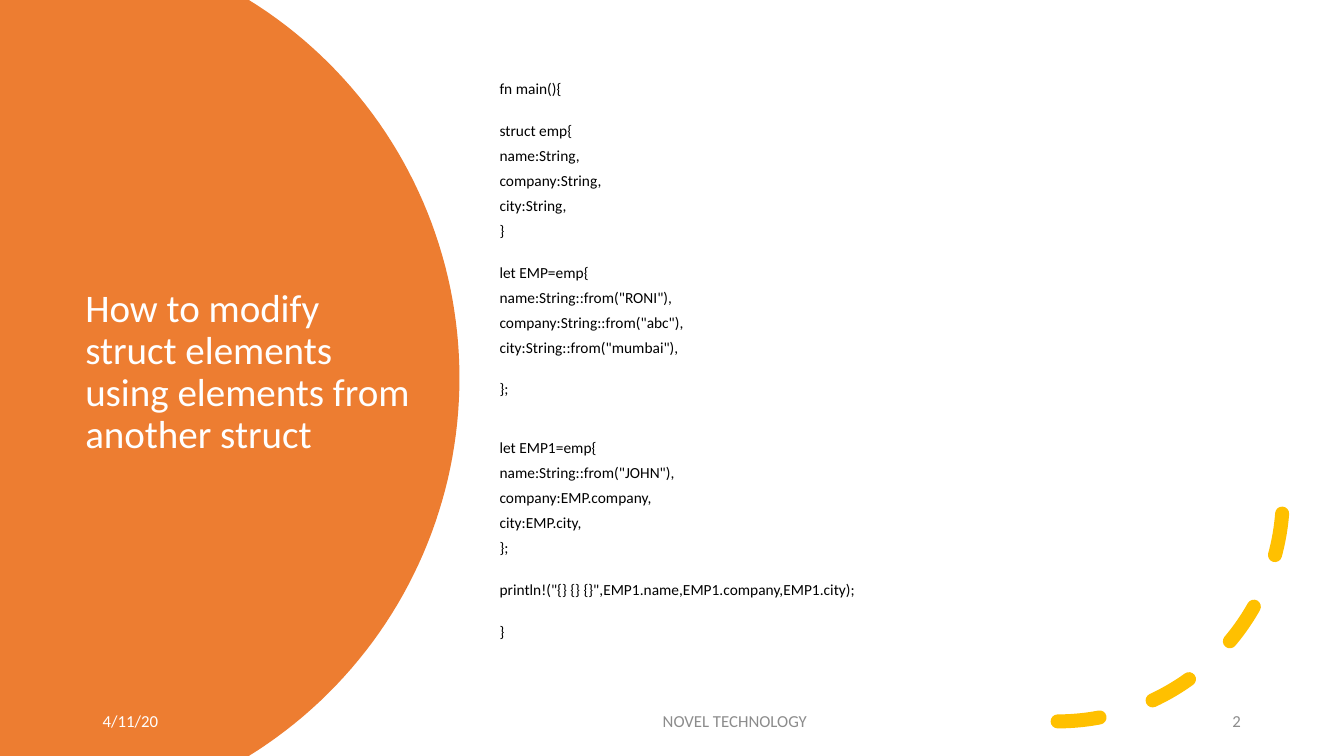
from math import asin, cos, sin
from pptx import Presentation
from pptx.dml.color import RGBColor
from pptx.enum.dml import MSO_LINE
from pptx.enum.shapes import MSO_SHAPE
from pptx.enum.text import MSO_ANCHOR, PP_ALIGN
from pptx.oxml.ns import qn
from pptx.util import Cm, Pt

COLORS = {"orange": "ED7D31", "gold": "FFC000", "white": "FFFFFF",
          "black": "000000", "gray": "8C8C8C"}


def tint(name):
    return RGBColor.from_string(COLORS[name])


def add_text(lines, box, size=12, color="gray", align=PP_ALIGN.LEFT,
             space=1.0, after=0, foot=0.13):
    frame = slide.shapes.add_textbox(*[Cm(n) for n in box]).text_frame
    frame.word_wrap = True
    frame.vertical_anchor = MSO_ANCHOR.MIDDLE
    frame.margin_bottom = Cm(foot)
    for i, (line, gap) in enumerate(lines):
        para = frame.paragraphs[0] if i == 0 else frame.add_paragraph()
        para.alignment = align
        para.line_spacing = space
        para.space_before = Pt(gap)
        para.space_after = Pt(after)
        run = para.add_run()
        run.text = line
        run.font.name = "Calibri"
        run.font.size = Pt(size)
        run.font.color.rgb = tint(color)


deck = Presentation()
deck.slide_width = Cm(33.87)
deck.slide_height = Cm(19.05)
slide = deck.slides.add_slide(deck.slide_layouts[6])

radius, mid_x, mid_y = 11.2, 0.38, 9.525
steps = 80
limit = asin(mid_y / radius)
edge = []
for i in range(steps + 1):
    angle = limit * (2 * i / steps - 1)
    edge.append((Cm(mid_x + radius * cos(angle)), Cm(mid_y + radius * sin(angle))))
maker = slide.shapes.build_freeform(0, 0)
maker.add_line_segments(edge + [(0, Cm(19.05))], close=True)
disc = maker.convert_to_shape()
disc.shadow.inherit = False
disc.fill.solid()
disc.fill.fore_color.rgb = tint("orange")
disc.line.fill.background()

add_text([("How to modify struct elements using elements from another struct", 0)],
         (1.9, 3.2, 8.9, 12.4), size=27.9, color="white", space=0.9)

arc = slide.shapes.add_shape(MSO_SHAPE.ARC, Cm(20.98), Cm(6.83), Cm(11.35), Cm(11.35))
arc.shadow.inherit = False
arc.fill.background()
arc.line.color.rgb = tint("gold")
arc.line.width = Pt(10)
arc.line.dash_style = MSO_LINE.DASH
arc.element.spPr.find(qn("a:ln")).set("cap", "rnd")
arc.element.spPr.find(qn("a:xfrm")).set("flipV", "1")

code = [
    ("fn main(){", 0),
    ("struct emp{", 12),
    ("name:String,", 0),
    ("company:String,", 0),
    ("city:String,", 0),
    ("}", 0),
    ("let EMP=emp{", 12),
    ('name:String::from("RONI"),', 0),
    ('company:String::from("abc"),', 0),
    ('city:String::from("mumbai"),', 0),
    ("};", 12),
    ("let EMP1=emp{", 24),
    ('name:String::from("JOHN"),', 0),
    ("company:EMP.company,", 0),
    ("city:EMP.city,", 0),
    ("};", 0),
    ('println!("{} {} {}",EMP1.name,EMP1.company,EMP1.city);', 12),
    ("}", 12),
]
add_text(code, (12.34, 1.65, 19.18, 15.52), size=11, color="black",
         space=0.9, after=6, foot=0.76)

for label, left, width, color, align in [
    ("4/11/20", 2.34, 4.55, "white", PP_ALIGN.LEFT),
    ("NOVEL TECHNOLOGY", 11.23, 14.58, "gray", PP_ALIGN.CENTER),
    ("2", 26.49, 5.03, "gray", PP_ALIGN.RIGHT),
]:
    add_text([(label, 0)], (left, 17.65, width, 1.02), color=color, align=align, after=6)

deck.save("out.pptx")
